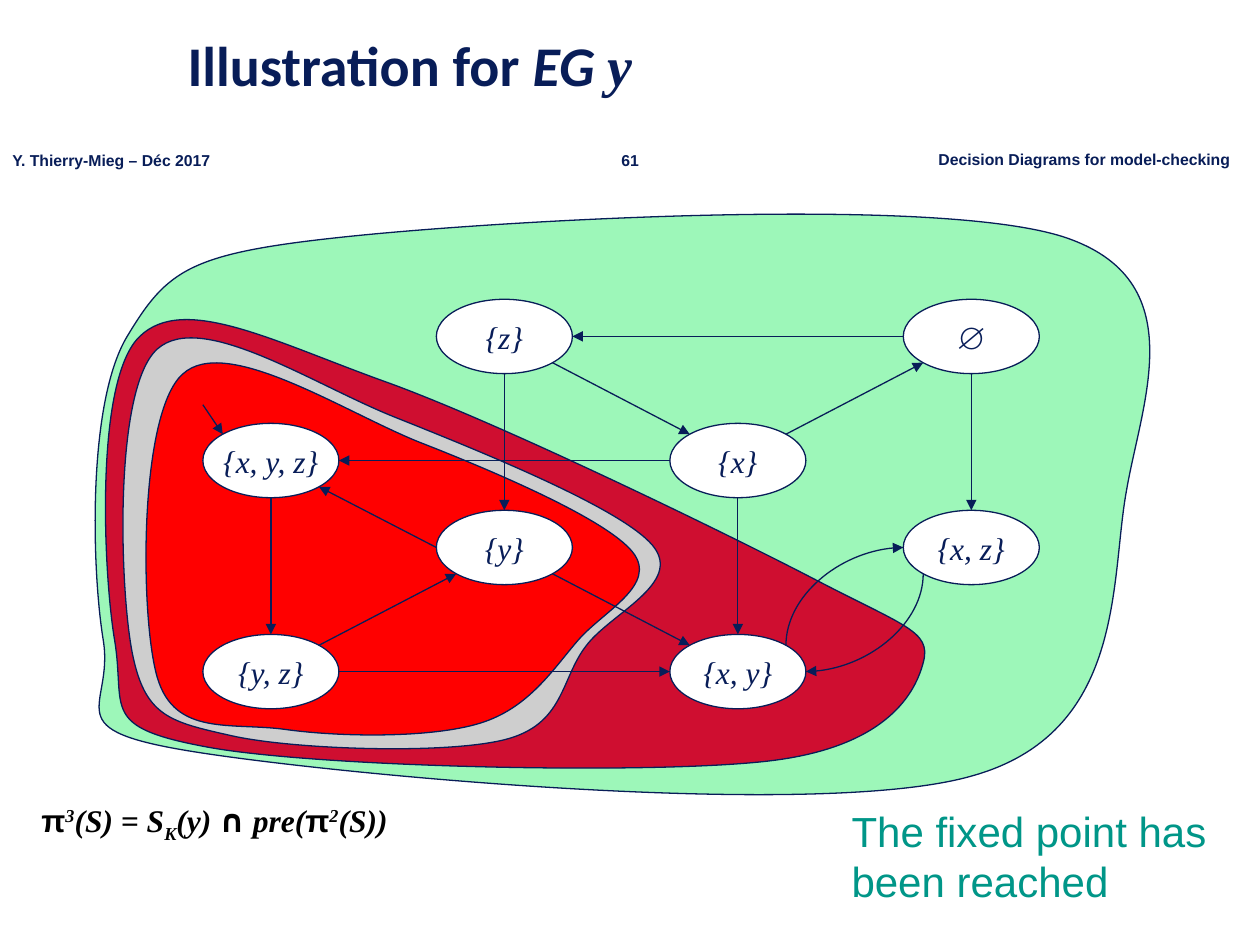
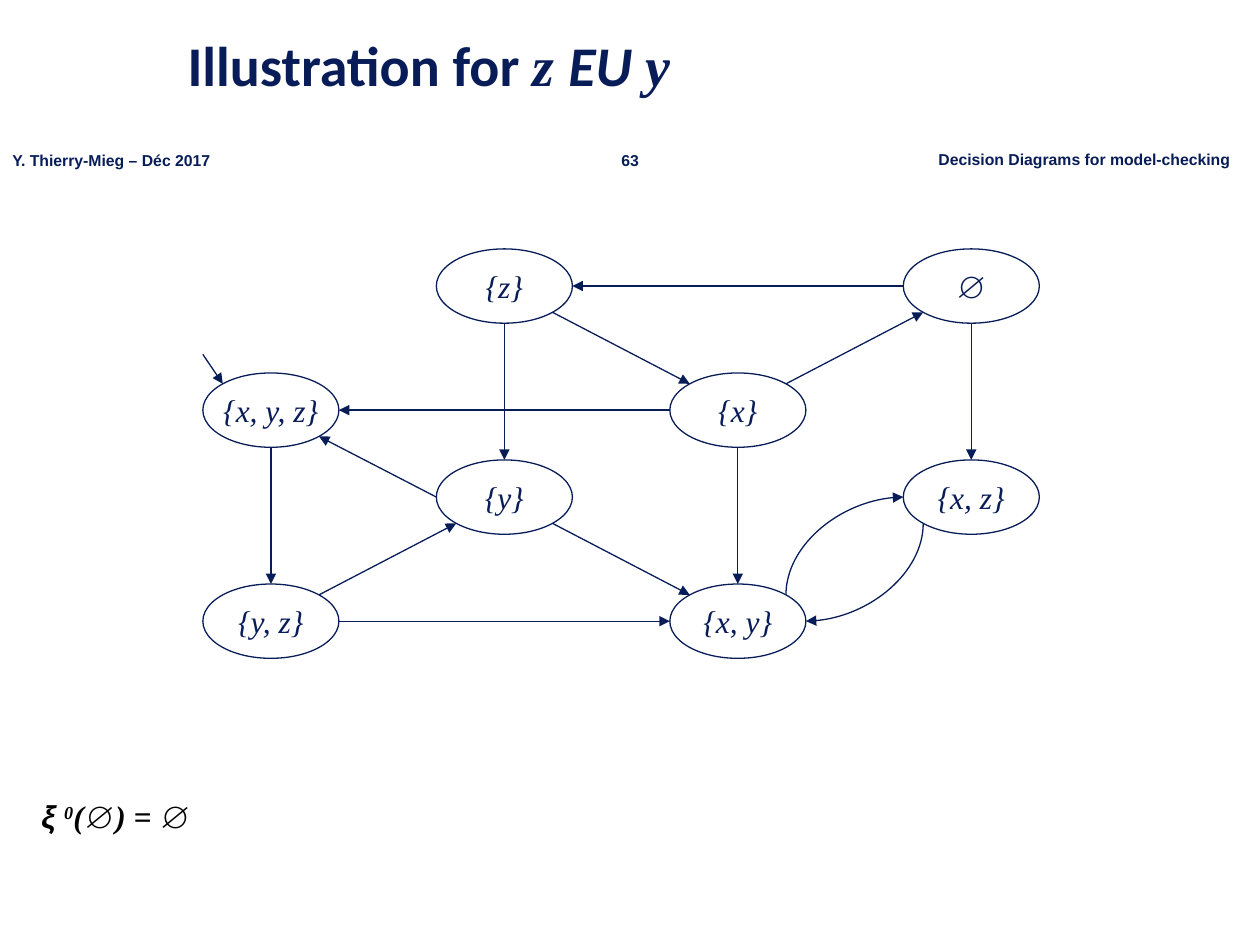
from dataclasses import dataclass
from enum import IntEnum
from math import cos, pi, sin

from lxml.etree import SubElement
from pptx import Presentation
from pptx.dml.color import RGBColor
from pptx.enum.shapes import MSO_CONNECTOR as Connector, MSO_SHAPE as Preset
from pptx.enum.text import MSO_ANCHOR as Anchor, PP_ALIGN as Align
from pptx.oxml.ns import qn
from pptx.util import Inches, Pt


@dataclass(frozen=True)
class Theme:
    ink: str = "081D58"
    black: str = "000000"
    white: str = "FFFFFF"
    accent: str = "009688"
    mint: str = "9DF7B9"
    crimson: str = "CF0E30"
    silver: str = "CECECE"
    red: str = "FF0000"
    heading: str = "Calibri"
    sans: str = "Arial"
    math: str = "Times New Roman"
    symbol: str = "Comic Neue"
    title_size: int = 32
    remark_size: int = 24
    body_size: int = 18
    footer_size: int = 9
    line_width: float = 0.75


THEME = Theme()


class Site(IntEnum):
    """Connection sites of an ellipse, counter-clockwise from the top."""
    TOP = 0
    TOP_LEFT = 1
    LEFT = 2
    BOTTOM_LEFT = 3
    BOTTOM = 4
    BOTTOM_RIGHT = 5
    RIGHT = 6
    TOP_RIGHT = 7


# State graph: four columns and four rows of node centres
COLUMN_LEFT, COLUMN_STEP = 2.15, 1.853
ROW_OFFSETS = (0, 0.985, 1.675, 2.66)
NODE_WIDTH, NODE_HEIGHT = 1.08, 0.59

STATES = {  # label: (column, row)
    "{x, y, z}": (0, 1), "{y, z}": (0, 3),
    "{z}": (1, 0), "{y}": (1, 2),
    "∅": (3, 0), "{x, z}": (3, 2),
    "{x}": (2, 1), "{x, y}": (2, 3),
}
INITIAL_STATE = "{x, y, z}"

STRAIGHT_TRANSITIONS = [
    ("{x, y, z}", Site.BOTTOM, "{y, z}", Site.TOP),
    ("{y, z}", Site.TOP_RIGHT, "{y}", Site.BOTTOM_LEFT),
    ("{y, z}", Site.RIGHT, "{x, y}", Site.LEFT),
    ("{y}", Site.LEFT, "{x, y, z}", Site.BOTTOM_RIGHT),
    ("{y}", Site.BOTTOM_RIGHT, "{x, y}", Site.TOP_LEFT),
    ("{x}", Site.BOTTOM, "{x, y}", Site.TOP),
    ("{x}", Site.LEFT, "{x, y, z}", Site.RIGHT),
    ("{x}", Site.TOP_RIGHT, "∅", Site.BOTTOM_LEFT),
    ("∅", Site.BOTTOM, "{x, z}", Site.TOP),
    ("∅", Site.LEFT, "{z}", Site.RIGHT),
    ("{z}", Site.BOTTOM, "{y}", Site.TOP),
    ("{z}", Site.BOTTOM_RIGHT, "{x}", Site.TOP_LEFT),
]
CURVED_TRANSITIONS = [
    ("{x, y}", Site.TOP_RIGHT, "{x, z}", Site.LEFT),
    ("{x, z}", Site.BOTTOM_LEFT, "{x, y}", Site.RIGHT),
]

# Nested state sets, outermost first: start point, then three points per curve
REGIONS = [
    (THEME.mint, [
        (1.56, 5.97),
        (0.41, 5.79), (0.91, 5.63), (0.82, 5.08),
        (0.73, 4.53), (0.69, 3.2), (1.01, 2.67),
        (1.33, 2.14), (1.5, 2.01), (2.74, 1.88),
        (3.97, 1.75), (7.41, 1.55), (8.44, 1.88),
        (9.48, 2.22), (9.06, 3.19), (8.94, 3.9),
        (8.81, 4.61), (8.94, 5.82), (7.71, 6.16),
        (6.48, 6.51), (2.7, 6.15), (1.56, 5.97)]),
    (THEME.crimson, [
        (1.65, 5.93),
        (0.78, 5.77), (1, 5.63), (0.91, 5.08),
        (0.82, 4.54), (0.75, 3.01), (1.11, 2.67),
        (1.46, 2.33), (2.17, 2.71), (3.06, 3.03),
        (3.95, 3.35), (5.76, 4.23), (6.47, 4.6),
        (7.18, 4.97), (7.39, 5.01), (7.33, 5.25),
        (7.27, 5.49), (7.05, 5.93), (6.1, 6.04),
        (5.16, 6.15), (2.52, 6.09), (1.65, 5.93)]),
    (THEME.silver, [
        (1.84, 5.84),
        (1.35, 5.73), (1.15, 5.69), (1.05, 5.18),
        (0.95, 4.67), (0.9, 3.08), (1.25, 2.77),
        (1.6, 2.46), (2.48, 3.05), (3.13, 3.31),
        (3.78, 3.57), (4.93, 4.03), (5.18, 4.33),
        (5.43, 4.63), (4.84, 4.87), (4.65, 5.13),
        (4.45, 5.39), (4.48, 5.75), (4.01, 5.87),
        (3.54, 5.99), (2.33, 5.95), (1.84, 5.84)]),
    (THEME.red, [
        (2.27, 5.79),
        (1.84, 5.73), (1.39, 5.85), (1.25, 5.38),
        (1.11, 4.91), (1.1, 3.28), (1.45, 2.97),
        (1.79, 2.65), (2.73, 3.27), (3.33, 3.51),
        (3.92, 3.74), (4.81, 4.12), (5.02, 4.38),
        (5.23, 4.64), (4.79, 4.85), (4.59, 5.08),
        (4.39, 5.31), (4.2, 5.62), (3.81, 5.74),
        (3.42, 5.86), (2.7, 5.85), (2.27, 5.79)]),
]


# Text
def write_text(shape, runs, *, size, font, color=THEME.ink, bold=False, italic=False,
               align=Align.LEFT, anchor=Anchor.TOP, wrap=False, spacing=None, before=None):
    """Write one paragraph; runs are (text, overrides), "\\n" breaks the line."""
    frame = shape.text_frame
    frame.word_wrap, frame.vertical_anchor = wrap, anchor
    paragraph = frame.paragraphs[0]
    paragraph.alignment = align
    paragraph.line_spacing, paragraph.space_before = spacing, before
    for text, overrides in runs:
        for index, line in enumerate(text.split("\n")):
            if index:
                paragraph.add_line_break()
            run = paragraph.add_run()
            run.text = line
            run.font.size, run.font.bold = Pt(size), bold
            run.font.name = overrides.get("font", font)
            run.font.italic = overrides.get("italic", italic)
            run.font.color.rgb = RGBColor.from_string(color)
            if "baseline" in overrides:
                run.font._element.set("baseline", str(overrides["baseline"] * 1000))


def add_text(slide, box, runs, **text_format):
    shape = slide.shapes.add_textbox(*map(Inches, box))
    write_text(shape, runs, **text_format)


# Shapes and lines
def paint(shape, fill):
    shape.shadow.inherit = False
    shape.fill.solid()
    shape.fill.fore_color.rgb = RGBColor.from_string(fill)
    shape.line.color.rgb = RGBColor.from_string(THEME.ink)
    shape.line.width = Pt(THEME.line_width)


def add_region(slide, fill, points):
    start, *rest = [tuple(map(Inches, point)) for point in points]
    builder = slide.shapes.build_freeform(*start)
    builder.add_line_segments(rest, close=True)
    shape = builder.convert_to_shape()
    # Join every three segments into one Bézier curve
    segments = list(shape._element.iter(qn("a:lnTo")))
    for first in range(0, len(segments), 3):
        curve, *others = segments[first:first + 3]
        curve.tag = qn("a:cubicBezTo")
        for other in others:
            curve.append(other[0])
            other.getparent().remove(other)
    paint(shape, fill)


def add_arrow(slide, kind, start, end):
    arrow = slide.shapes.add_connector(kind, *map(Inches, (*start, *end)))
    arrow.line.color.rgb = RGBColor.from_string(THEME.ink)
    arrow.line.width = Pt(THEME.line_width)
    SubElement(arrow.line._get_or_add_ln(), qn("a:tailEnd"), type="triangle")
    SubElement(arrow._element.spPr, qn("a:effectLst"))
    return arrow


def add_curved_arrow(slide, start, end):
    """Quarter curve that leaves vertically and arrives horizontally."""
    middle_x, middle_y = (start[0] + end[0]) / 2, (start[1] + end[1]) / 2
    # The frame is turned by a quarter, so its half sides swap
    half_width, half_height = abs(end[1] - start[1]) / 2, abs(end[0] - start[0]) / 2
    arrow = add_arrow(slide, Connector.CURVE,
                      (middle_x - half_width, middle_y - half_height),
                      (middle_x + half_width, middle_y + half_height))
    properties = arrow._element.spPr
    properties.find(qn("a:prstGeom")).set("prst", "curvedConnector2")
    degrees = 270 if end[1] < start[1] else 90
    properties.find(qn("a:xfrm")).set("rot", str(degrees * 60000))


def glue(arrow, source, source_site, target, target_site):
    """Attach both ends to any of the eight sites of an ellipse."""
    joints = arrow._element.find(qn("p:nvCxnSpPr")).find(qn("p:cNvCxnSpPr"))
    for tag, node, site in (("a:stCxn", source, source_site), ("a:endCxn", target, target_site)):
        SubElement(joints, qn(tag), id=str(node.shape_id), idx=str(int(site)))


# State graph
def node_center(label, top_row):
    column, row = STATES[label]
    return COLUMN_LEFT + column * COLUMN_STEP, top_row + ROW_OFFSETS[row]


def site_point(label, site, top_row):
    x, y = node_center(label, top_row)
    angle = pi / 2 + site * pi / 4
    return x + cos(angle) * NODE_WIDTH / 2, y - sin(angle) * NODE_HEIGHT / 2


def add_node(slide, label, top_row):
    x, y = node_center(label, top_row)
    box = (x - NODE_WIDTH / 2, y - NODE_HEIGHT / 2, NODE_WIDTH, NODE_HEIGHT)
    node = slide.shapes.add_shape(Preset.OVAL, *map(Inches, box))
    paint(node, THEME.white)
    write_text(node, [(label, {})], size=THEME.body_size, font=THEME.math, italic=True,
               align=Align.CENTER, anchor=Anchor.MIDDLE)
    return node


def add_state_graph(slide, top_row):
    nodes = {label: add_node(slide, label, top_row) for label in STATES}
    for source, source_site, target, target_site in STRAIGHT_TRANSITIONS:
        arrow = add_arrow(slide, Connector.STRAIGHT, site_point(source, source_site, top_row),
                          site_point(target, target_site, top_row))
        glue(arrow, nodes[source], source_site, nodes[target], target_site)
    for source, source_site, target, target_site in CURVED_TRANSITIONS:
        add_curved_arrow(slide, site_point(source, source_site, top_row),
                         site_point(target, target_site, top_row))
    x, y = node_center(INITIAL_STATE, top_row)
    add_arrow(slide, Connector.STRAIGHT, (x - NODE_WIDTH / 2, y - 0.75 * NODE_HEIGHT),
              site_point(INITIAL_STATE, Site.TOP_LEFT, top_row))


# Shared slide frame: footer line, title and formula
def add_slide(presentation, number, title, formula):
    slide = presentation.slides.add_slide(presentation.slide_layouts[6])
    for box, text, align in (
            ((4.79, 1.15, 0.42, 0.25), number, Align.CENTER),
            ((0, 1.15, 1.8, 0.25), "Y. Thierry-Mieg – Déc 2017", Align.LEFT),
            ((7.35, 1.14, 2.53, 0.25), "Decision Diagrams for model-checking", Align.LEFT)):
        add_text(slide, box, [(text, {})], size=THEME.footer_size, font=THEME.sans,
                 bold=True, align=align)
    add_text(slide, (1.39, 0, 8.61, 1.08), title, size=THEME.title_size, font=THEME.heading,
             bold=True, anchor=Anchor.MIDDLE, wrap=True, spacing=0.9)
    add_text(slide, (0.23, 6.31, 9, 0.7), formula, size=THEME.body_size, font=THEME.math,
             color=THEME.black, bold=True, italic=True, wrap=True, spacing=0.9, before=Pt(5.4))
    return slide


def main():
    presentation = Presentation()
    presentation.slide_width, presentation.slide_height = Inches(10), Inches(7.5)
    slanted = {"italic": True}
    variable = {"italic": True, "font": THEME.math}
    greek = {"italic": False, "font": THEME.sans}
    power, index = {"baseline": 30}, {"baseline": -25}

    # EG y: last step of the fixed point
    slide = add_slide(
        presentation, "61",
        [("Illustration for ", {}), ("EG ", slanted), ("y", variable)],
        [("π", greek), ("3", power), ("(S) = S", {}), ("K", index), ("(y) ", {}),
         ("∩", {"italic": False, "font": THEME.symbol}), (" pre(", {}),
         ("π", greek), ("2", power), ("(S))", {})])
    for fill, points in REGIONS:
        add_region(slide, fill, points)
    add_state_graph(slide, top_row=2.67)
    add_text(slide, (6.66, 6.34, 3.11, 0.9), [("The fixed point has \nbeen reached", {})],
             size=THEME.remark_size, font=THEME.sans, color=THEME.accent)

    # z EU y: starting point
    slide = add_slide(
        presentation, "63",
        [("Illustration for ", {}), ("z ", variable), ("EU ", slanted), ("y", variable)],
        [("ξ ", {"font": THEME.sans}), ("0", power), ("(∅) = ∅", {})])
    add_state_graph(slide, top_row=2.27)

    presentation.save("out.pptx")


if __name__ == "__main__":
    main()
